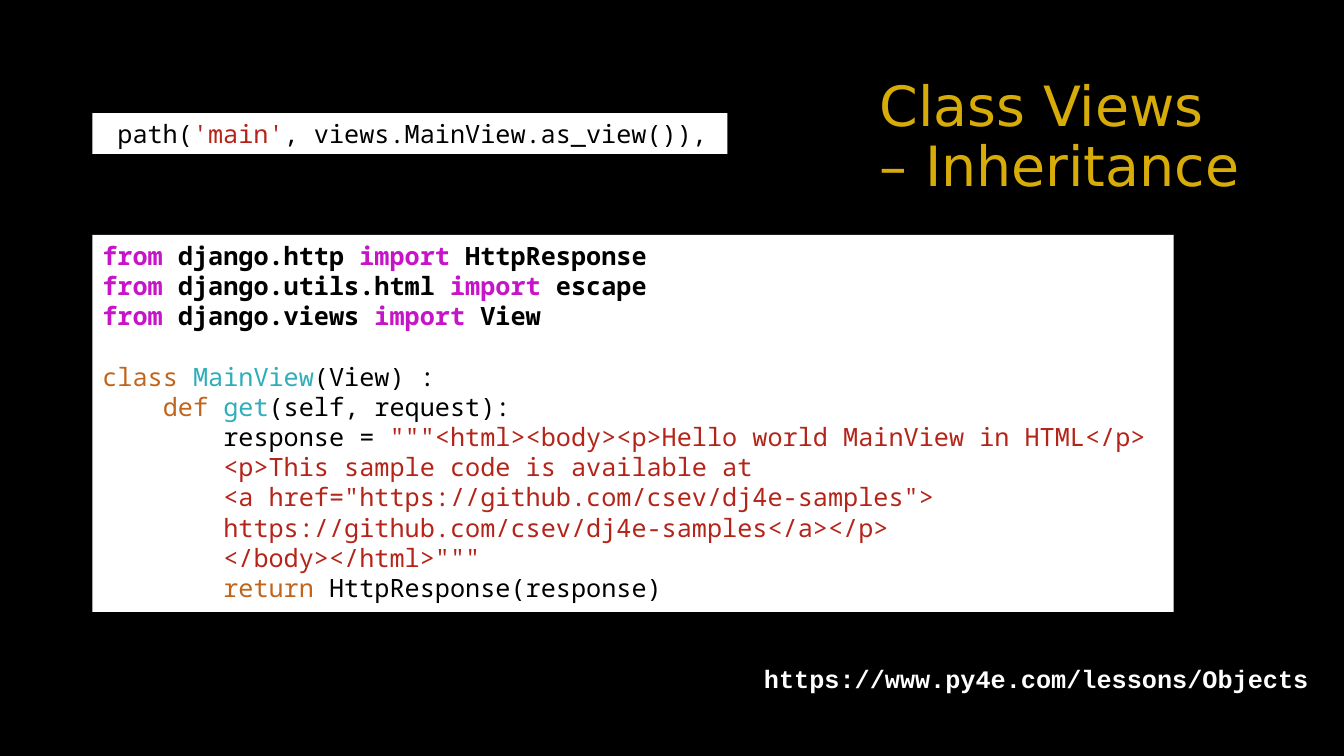
from pptx import Presentation
from pptx import util as u
from pptx.dml import color as c
from pptx.enum import shapes, text

COLORS = {
    "night": "000000", "paper": "FFFFFF", "gold": "D7AC08", "plain": "000000",
    "import": "C814C9", "keyword": "C1651C", "name": "2EAEBB", "string": "B42419",
}
CODE_FONT = {"name": "Noto Sans Mono", "size": u.Pt(18), "bold": False}
IMPORT_FONT = {**CODE_FONT, "bold": True}
TITLE_FONT = {"name": "DejaVu Sans", "size": u.Pt(39.6), "bold": False}
LINK_FONT = {"name": "Courier New", "size": u.Pt(18), "bold": True}

ROUTE = [[(" path(", "plain"), ("'main'", "string"),
          (", views.MainView.as_view()),", "plain")]]
IMPORTS = [("django.http", "HttpResponse"), ("django.utils.html", "escape"),
           ("django.views", "View")]
IMPORT_LINES = [
    [("from ", "import"), (module + " ", "plain"), ("import ", "import"), (item, "plain")]
    for module, item in IMPORTS
]
HTML_LINES = [
    "<p>This sample code is available at",
    '<a href="https://github.com/csev/dj4e-samples">',
    "https://github.com/csev/dj4e-samples</a></p>",
    '</body></html>"""',
]
INDENT = " " * 4
CLASS_LINES = [
    [],
    [("class ", "keyword"), ("MainView", "name"), ("(View) :", "plain")],
    [(INDENT + "def ", "keyword"), ("get", "name"), ("(self, request):", "plain")],
    [(INDENT * 2 + "response = ", "plain"),
     ('"""<html><body><p>Hello world MainView in HTML</p>', "string")],
    *[[(INDENT * 2 + line, "string")] for line in HTML_LINES],
    [(INDENT * 2 + "return ", "keyword"), ("HttpResponse(response)", "plain")],
]


def rgb(name):
    return c.RGBColor.from_string(COLORS[name])


def set_format(target, values):
    for key, value in values.items():
        setattr(target, key, value)


class Page:
    def __init__(self, deck):
        self.slide = deck.slides.add_slide(deck.slide_layouts[6])
        fill = self.slide.background.fill
        fill.solid()
        fill.fore_color.rgb = rgb("night")

    def set_lines(self, box, lines, **frame_format):
        """Fill a box with (spans, font) lines, each span a (words, color) pair."""
        frame = box.text_frame
        set_format(frame, frame_format)
        for number, (spans, font) in enumerate(lines):
            para = frame.add_paragraph() if number else frame.paragraphs[0]
            para.alignment = text.PP_ALIGN.LEFT
            set_format(para.font, font)
            for words, color in spans:
                span = para.add_run()
                span.text = words
                set_format(span.font, font)
                span.font.color.rgb = rgb(color)
        return frame

    def code_panel(self, left, top, width, height, lines):
        panel = self.slide.shapes.add_shape(
            shapes.MSO_SHAPE.RECTANGLE, u.Pt(left), u.Pt(top), u.Pt(width), u.Pt(height))
        panel.shadow.inherit = False
        panel.fill.solid()
        panel.fill.fore_color.rgb = rgb("paper")
        panel.line.fill.background()
        self.set_lines(panel, lines, word_wrap=False,
                       auto_size=text.MSO_AUTO_SIZE.SHAPE_TO_FIT_TEXT,
                       vertical_anchor=text.MSO_ANCHOR.TOP)

    def label(self, left, top, width, height, words, color, font, **frame_format):
        box = self.slide.shapes.add_textbox(
            u.Pt(left), u.Pt(top), u.Pt(width), u.Pt(height))
        return self.set_lines(box, [([(words, color)], font)], **frame_format)


def main():
    deck = Presentation()
    deck.slide_width, deck.slide_height = u.Pt(960), u.Pt(540)
    page = Page(deck)
    title = page.label(621.4, 46.8, 271.4, 104.4, "Class Views – Inheritance", "gold",
                       TITLE_FONT, word_wrap=True,
                       vertical_anchor=text.MSO_ANCHOR.MIDDLE)
    title.paragraphs[0].line_spacing = 0.9
    page.code_panel(66, 80.8, 453.6, 29.1, [(line, CODE_FONT) for line in ROUTE])
    page.code_panel(66, 167.8, 772.4, 269.3,
                    [(line, IMPORT_FONT) for line in IMPORT_LINES]
                    + [(line, CODE_FONT) for line in CLASS_LINES])
    page.label(538.6, 470.2, 405.4, 29.1, "https://www.py4e.com/lessons/Objects",
               "paper", LINK_FONT, word_wrap=False,
               auto_size=text.MSO_AUTO_SIZE.SHAPE_TO_FIT_TEXT)
    deck.save("out.pptx")


if __name__ == "__main__":
    main()
